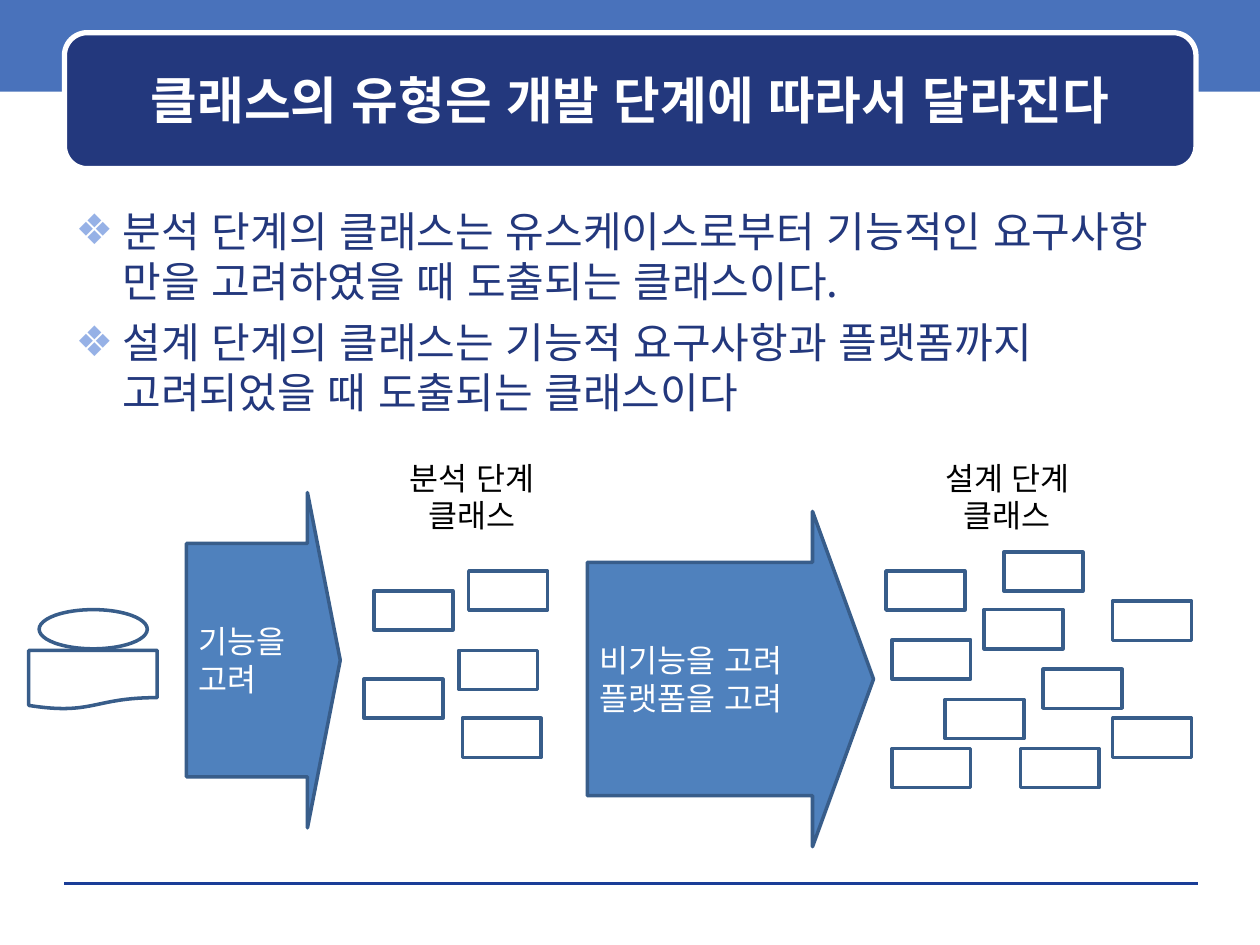
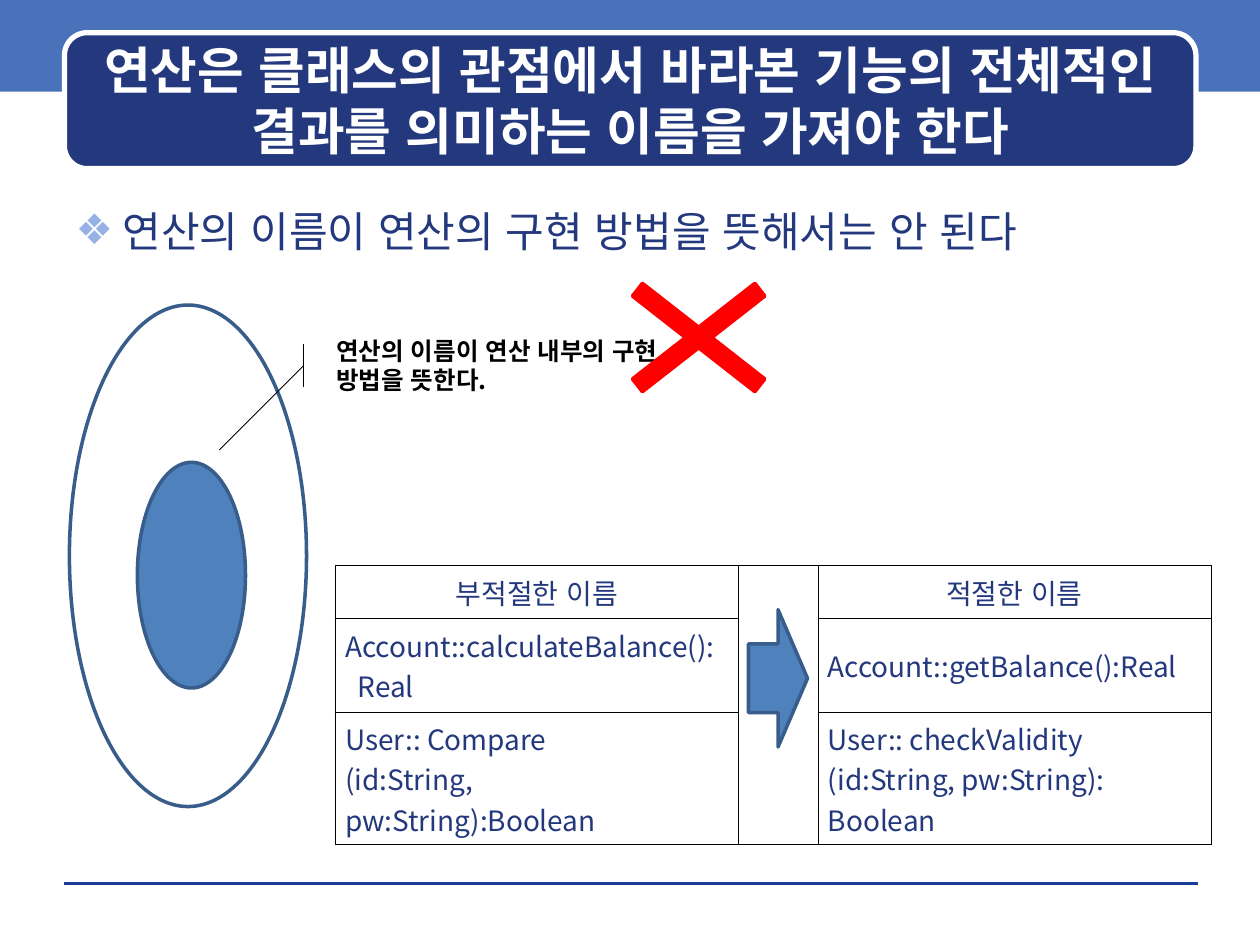
from lxml.etree import SubElement
from pptx import Presentation
from pptx.dml.color import RGBColor
from pptx.enum.lang import MSO_LANGUAGE_ID
from pptx.enum.shapes import MSO_CONNECTOR, MSO_SHAPE
from pptx.enum.text import MSO_ANCHOR, MSO_AUTO_SIZE, PP_ALIGN
from pptx.oxml import parse_xml
from pptx.oxml.ns import nsdecls, qn
from pptx.util import Cm, Pt

FONT = "Noto Sans CJK KR"
NAVY, BAND, RULE, BULLET = "23387D", "4972BB", "1A3D97", "96B1E6"
BLUE, OUTLINE, RED = "4F81BD", "385D8A", "FF0000"
WHITE, BLACK = "FFFFFF", "000000"

CLASS_SIZE = (1.59, 0.79)
ANALYSIS_CLASSES = [
    (7.54, 11.91), (9.45, 11.51), (9.25, 13.11), (7.34, 13.69), (9.32, 14.48),
]
DESIGN_CLASSES = [
    (17.86, 11.51), (20.24, 11.13), (19.84, 12.29), (17.98, 12.9), (19.05, 14.1),
    (22.43, 12.12), (21.03, 13.49), (22.43, 14.48), (17.98, 15.09), (20.57, 15.09),
]
OPERATION_NAMES = [
    ["부적절한 이름", "", "적절한 이름"],
    ["Account::calculateBalance():\n  Real", "", "Account::getBalance():Real"],
    ["User:: Compare\n(id:String, pw:String):Boolean", "",
     "User:: checkValidity\n(id:String, pw:String):\nBoolean"],
]


def color(value):
    """Turn a hex string into a colour."""
    return RGBColor.from_string(value)


def lengths(*values):
    """Turn centimetre numbers into lengths."""
    return [Cm(value) for value in values]


def write(text_frame, text, size, ink, bold=False, align=PP_ALIGN.LEFT, leading=1.2):
    """Fill a text frame and format all its runs alike."""
    text_frame.text = text
    for paragraph in text_frame.paragraphs:
        paragraph.alignment = align
        if leading:
            paragraph.line_spacing = Pt(round(size * leading, 1))
        for run in paragraph.runs:
            font = run.font
            font.name, font.size, font.bold = FONT, Pt(size), bold
            font.color.rgb = color(ink)
            font.language_id = MSO_LANGUAGE_ID.KOREAN
            SubElement(font._element, qn("a:ea"), typeface=FONT)


def add_figure(slide, kind, box, fill=None, line=OUTLINE, width=2, adjustments=()):
    """Add a flat preset shape."""
    shape = slide.shapes.add_shape(kind, *lengths(*box))
    shape.shadow.inherit = False
    if fill:
        shape.fill.solid()
        shape.fill.fore_color.rgb = color(fill)
    else:
        shape.fill.background()
    if line:
        shape.line.color.rgb = color(line)
        shape.line.width = Pt(width)
    else:
        shape.line.fill.background()
    for index, value in enumerate(adjustments):
        shape.adjustments[index] = value
    return shape


def add_line(slide, ends, ink, width):
    """Add a straight line without a shadow."""
    connector = slide.shapes.add_connector(MSO_CONNECTOR.STRAIGHT, *lengths(*ends))
    connector.line.color.rgb = color(ink)
    connector.line.width = Pt(width)
    SubElement(connector.element.spPr, qn("a:effectLst"))
    return connector


def add_text(slide, box, text, size, wrap=True, **style):
    """Add a text box in black."""
    text_frame = slide.shapes.add_textbox(*lengths(*box)).text_frame
    text_frame.word_wrap = wrap
    write(text_frame, text, size, BLACK, **style)
    return text_frame


def add_phase_arrow(slide, box, text):
    """Add a block arrow that names what a phase considers."""
    arrow = add_figure(slide, MSO_SHAPE.RIGHT_ARROW, box, BLUE, adjustments=(0.696, 0.213))
    arrow.text_frame.word_wrap = True
    arrow.text_frame.vertical_anchor = MSO_ANCHOR.MIDDLE
    write(arrow.text_frame, text, 18, WHITE)


def decorate_layout(slide):
    """Move the band, the footer rule and the title panel to the layout."""
    decorations = [
        add_figure(slide, MSO_SHAPE.RECTANGLE, (0, -0.08, 25.4, 1.93), BAND, None),
        add_line(slide, (1.3, 17.81, 24.16, 17.81), RULE, 0),
        add_figure(slide, MSO_SHAPE.ROUNDED_RECTANGLE, (1.3, 0.66, 22.81, 2.74),
                   NAVY, WHITE, 3, (0.167,)),
    ]
    tree = slide.slide_layout.shapes.element
    for index, shape in enumerate(decorations):
        shape.element.xpath(".//p:cNvPr")[0].set("id", str(100 + index))
        tree.insert(2 + index, shape.element)


def place(shape, box):
    """Move and size a placeholder."""
    shape.left, shape.top, shape.width, shape.height = lengths(*box)
    shape.text_frame.word_wrap = True
    shape.text_frame.auto_size = MSO_AUTO_SIZE.NONE


def fill_placeholders(slide, title, bullets):
    """Write the title and the bulleted list."""
    heading, body = slide.shapes.title, slide.placeholders[1]
    place(heading, (1.52, 0.89, 22.38, 2.24))
    heading.text_frame.vertical_anchor = MSO_ANCHOR.MIDDLE
    write(heading.text_frame, title, 29, WHITE, bold=True, align=PP_ALIGN.CENTER)
    place(body, (1.27, 4.01, 22.86, 13.54))
    write(body.text_frame, "\n".join(bullets), 24, NAVY)
    for index, paragraph in enumerate(body.text_frame.paragraphs):
        properties = paragraph._p.get_or_add_pPr()
        properties.set("marL", str(Cm(0.95)))
        properties.set("indent", str(-Cm(0.95)))
        bullet_color = SubElement(properties, qn("a:buClr"))
        SubElement(bullet_color, qn("a:srgbClr"), val=BULLET)
        SubElement(properties, qn("a:buChar"), char="❖")
        paragraph.space_before = Pt(6 if index else 0)


def outline_cell(cell):
    """Give a cell thin black borders and no fill."""
    cell.fill.background()
    properties = cell._tc.get_or_add_tcPr()
    for index, side in enumerate(("lnL", "lnR", "lnT", "lnB")):
        properties.insert(index, parse_xml(
            f'<a:{side} {nsdecls("a")} w="{Pt(0.45)}"><a:solidFill>'
            f'<a:srgbClr val="{BLACK}"/></a:solidFill></a:{side}>'))


def add_name_table(slide):
    """Add the table that compares operation names."""
    table = slide.shapes.add_table(3, 3, *lengths(6.76, 11.4, 17.65, 5.62)).table
    table.first_row = table.horz_banding = False
    for column, width in zip(table.columns, lengths(8.13, 1.6, 7.92)):
        column.width = width
    for row, height in zip(table.rows, lengths(1.07, 1.88, 2.67)):
        row.height = height
    for row_index, names in enumerate(OPERATION_NAMES):
        align = PP_ALIGN.JUSTIFY if row_index else PP_ALIGN.CENTER
        for column_index, name in enumerate(names):
            cell = table.cell(row_index, column_index)
            outline_cell(cell)
            cell.vertical_anchor = MSO_ANCHOR.MIDDLE
            cell.margin_left = cell.margin_right = Cm(0.2)
            if name:
                write(cell.text_frame, name, 16, NAVY, align=align, leading=None)
    table.cell(0, 1).merge(table.cell(2, 1))


def build_class_types(slide):
    """Show how classes change from analysis to design."""
    fill_placeholders(slide, "클래스의 유형은 개발 단계에 따라서 달라진다", [
        "분석 단계의 클래스는 유스케이스로부터 기능적인 요구사항 만을 고려하였을 때 도출되는 클래스이다.",
        "설계 단계의 클래스는 기능적 요구사항과 플랫폼까지 고려되었을 때 도출되는 클래스이다",
    ])
    for left, phase in ((8, "분석"), (18.8, "설계")):
        add_text(slide, (left, 9.12, 3.02, 1.78), f"{phase} 단계\n클래스", 18,
                 wrap=False, align=PP_ALIGN.CENTER)
    for position in ANALYSIS_CLASSES + DESIGN_CLASSES:
        add_figure(slide, MSO_SHAPE.RECTANGLE, position + CLASS_SIZE)
    add_phase_arrow(slide, (11.84, 10.31, 5.77, 6.76), "비기능을 고려\n플랫폼을 고려")
    add_phase_arrow(slide, (3.76, 9.93, 3.1, 6.76), "기능을 고려")
    add_figure(slide, MSO_SHAPE.OVAL, (0.79, 12.29, 2.18, 0.79))
    add_figure(slide, MSO_SHAPE.FLOWCHART_DOCUMENT, (0.58, 13.11, 2.59, 1.19))


def build_operation_names(slide):
    """Show how operations should be named."""
    fill_placeholders(
        slide, "연산은 클래스의 관점에서 바라본 기능의 전체적인 결과를 의미하는 이름을 가져야 한다",
        ["연산의 이름이 연산의 구현 방법을 뜻해서는 안 된다"])
    add_figure(slide, MSO_SHAPE.OVAL, (1.4, 6.15, 4.78, 10.11))
    add_figure(slide, MSO_SHAPE.OVAL, (2.77, 9.32, 2.18, 4.55), BLUE)
    add_line(slide, (4.42, 9.07, 6.12, 7.37), BLACK, 0.5)
    add_line(slide, (6.12, 6.93, 6.12, 7.8), BLACK, 0.5)
    callout = add_text(slide, (6.53, 6.65, 7.37, 1.42),
                       "연산의 이름이 연산 내부의 구현 방법을 뜻한다.", 14, bold=True)
    callout.vertical_anchor = MSO_ANCHOR.MIDDLE
    add_figure(slide, MSO_SHAPE.MATH_MULTIPLY, (11.71, 4.95, 4.75, 3.71),
               RED, RED, adjustments=(0.088,))
    add_name_table(slide)
    add_figure(slide, MSO_SHAPE.RIGHT_ARROW, (15.09, 12.29, 1.19, 2.77), BLUE)


def main():
    """Build and save the presentation."""
    presentation = Presentation()
    presentation.slide_width, presentation.slide_height = lengths(25.4, 19.05)
    layout = presentation.slide_layouts[1]
    class_slide = presentation.slides.add_slide(layout)
    decorate_layout(class_slide)
    build_class_types(class_slide)
    build_operation_names(presentation.slides.add_slide(layout))
    presentation.save("out.pptx")


if __name__ == "__main__":
    main()
